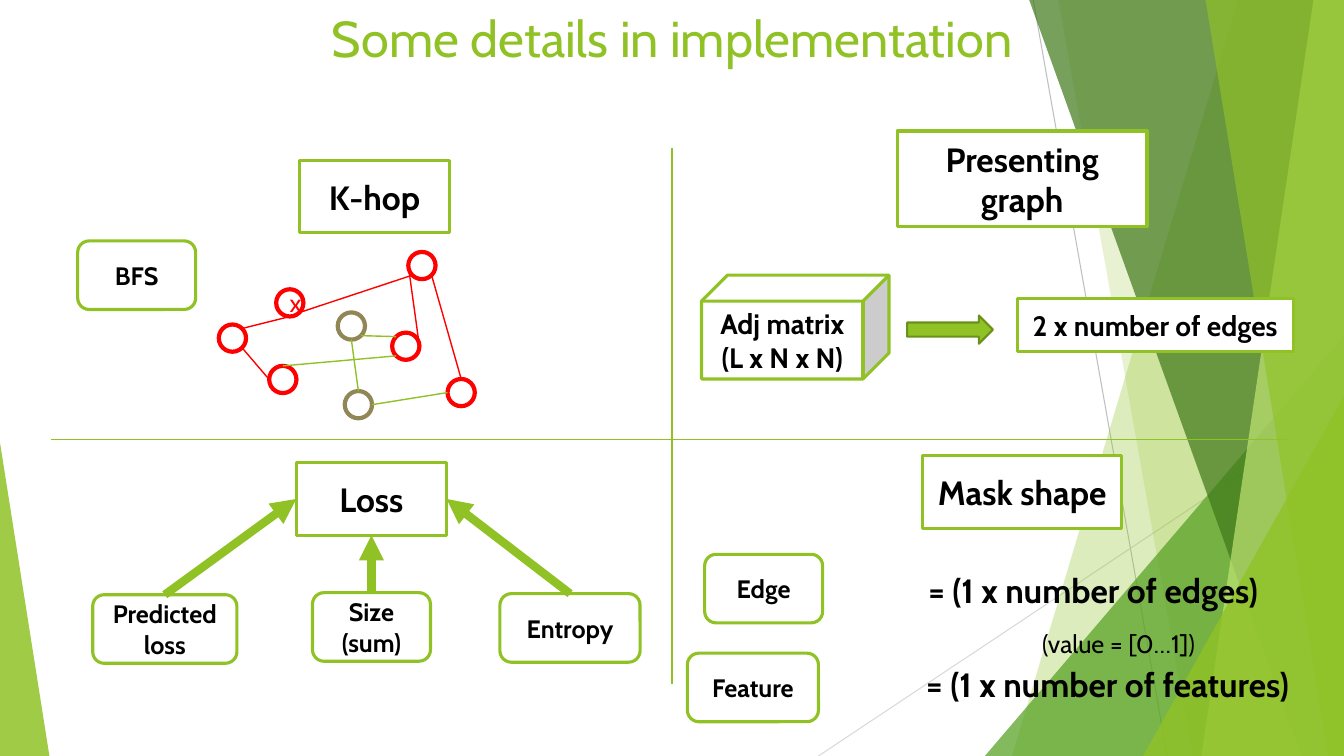
from math import cos, radians, sin

from lxml.etree import SubElement
from pptx import Presentation
from pptx.dml.color import RGBColor
from pptx.enum.shapes import MSO_CONNECTOR as Link, MSO_SHAPE as Kind
from pptx.enum.text import MSO_ANCHOR as Anchor, MSO_AUTO_SIZE as Fit, PP_ALIGN as Align
from pptx.oxml.ns import qn
from pptx.util import Inches, Pt

# All positions and sizes are percentages of the slide's width and height.
WIDTH, HEIGHT = Inches(13.333), Inches(7.5)
GREEN, RED, OLIVE, WHITE, BLACK = "90C226", "FF0000", "918655", "FFFFFF", "000000"
NODE_W, NODE_H = 2.03, 3.6
ANGLES = {"right": 0, "low right": 45, "bottom": 90, "low left": 135,
          "left": 180, "up left": 225, "top": 270, "up right": 315}


def colour(code):
    return RGBColor.from_string(code)


def across(share):
    return round(WIDTH * share / 100)


def down(share):
    return round(HEIGHT * share / 100)


def place(left, top, width, height):
    return across(left), down(top), across(width), down(height)


def write(frame, text, size, code=BLACK, bold=True, align=Align.CENTER):
    frame.text = text
    for para in frame.paragraphs:
        para.alignment = align
        para.font.name = "Cabin"
        para.font.size = Pt(size)
        para.font.bold = bold
        para.font.color.rgb = colour(code)


def paint(shape, fill=None, line=None, weight=2.25, opacity=100):
    shape.shadow.inherit = False
    if fill:
        shape.fill.solid()
        shape.fill.fore_color.rgb = colour(fill)
        if opacity < 100:
            tint = shape.fill._xPr.find(qn("a:solidFill"))[0]
            SubElement(tint, qn("a:alpha"), val=str(opacity * 1000))
    else:
        shape.fill.background()
    if line:
        shape.line.color.rgb = colour(line)
        shape.line.width = Pt(weight)
    else:
        shape.line.fill.background()


def add_pane(page, top_x, bottom_x, code, opacity):
    """Pane that reaches from a slanted edge to the right side of the slide."""
    builder = page.shapes.build_freeform(across(top_x), 0)
    builder.add_line_segments([(WIDTH, 0), (WIDTH, HEIGHT), (across(bottom_x), HEIGHT)])
    paint(builder.convert_to_shape(), code, opacity=opacity)


def add_wedge(page, left, top, width, apex, code, opacity):
    """Right triangle that stands on the bottom of the slide."""
    wedge = page.shapes.add_shape(Kind.ISOSCELES_TRIANGLE, *place(left, top, width, 100 - top))
    wedge.adjustments[0] = apex
    paint(wedge, code, opacity=opacity)


def add_box(page, text, spot, size, kind=Kind.RECTANGLE):
    box = page.shapes.add_shape(kind, *place(*spot))
    paint(box, WHITE, GREEN)
    box.text_frame.word_wrap = True
    box.text_frame.vertical_anchor = Anchor.MIDDLE
    write(box.text_frame, text, size)
    return box


def add_label(page, text, spot, size, bold):
    label = page.shapes.add_textbox(*place(*spot))
    label.text_frame.word_wrap = False
    label.text_frame.auto_size = Fit.SHAPE_TO_FIT_TEXT
    write(label.text_frame, text, size, bold=bold, align=Align.LEFT)


def add_line(page, start, end, code=GREEN, weight=1, arrow=False):
    line = page.shapes.add_connector(
        Link.STRAIGHT, across(start[0]), down(start[1]), across(end[0]), down(end[1]))
    line.line.color.rgb = colour(code)
    line.line.width = Pt(weight)
    properties = line._element.spPr
    if arrow:
        SubElement(properties.find(qn("a:ln")), qn("a:tailEnd"), type="triangle")
    SubElement(properties, qn("a:effectLst"))
    return line


def add_arrow(page, source, target, side):
    arrow = add_line(page, (0, 0), (1, 1), weight=6, arrow=True)
    arrow.begin_connect(source, 0)
    arrow.end_connect(target, side)


def add_node(page, left, top, code):
    node = page.shapes.add_shape(Kind.OVAL, *place(left, top, NODE_W, NODE_H))
    paint(node, line=code, weight=3)
    return node


def rim(spot, side):
    angle = radians(ANGLES[side])
    return (spot[0] + NODE_W / 2 * (1 + cos(angle)),
            spot[1] + NODE_H / 2 * (1 + sin(angle)))


def draw_backdrop(page):
    add_line(page, (76.88, 0), (86.85, 100), "BFBFBF", 0.75)
    add_line(page, (100, 53.73), (60.9, 100), "D9D9D9", 0.75)
    add_pane(page, 92.1, 75.3, GREEN, 30)
    add_pane(page, 78.75, 88.73, GREEN, 20)
    add_wedge(page, 73.28, 44.4, 26.72, 1, "54A021", 72)
    add_pane(page, 76.58, 96.83, "3F7819", 70)
    add_pane(page, 97.73, 89.4, "C0E474", 70)
    add_pane(page, 89.7, 98.85, GREEN, 65)
    add_wedge(page, 85.05, 52.4, 14.95, 1, GREEN, 80)
    add_wedge(page, 0, 58.53, 3.68, 0, GREEN, 85)


def draw_k_hop(page):
    add_box(page, "K-hop", (22.28, 21.2, 11.18, 9.6), 24)
    add_box(page, "BFS", (5.78, 31.87, 8.78, 9.07), 18, Kind.ROUNDED_RECTANGLE)
    spots = {"start": (20.55, 38.27), "inner": (25.13, 41.33), "far": (33.3, 50.13),
             "middle": (29.18, 44), "west": (16.28, 42.93), "south": (25.65, 51.73),
             "north": (30.38, 33.33), "low": (20.03, 48.4)}
    nodes = {name: add_node(page, *spot, OLIVE if name in ("inner", "south") else RED)
             for name, spot in spots.items()}
    frame = nodes["start"].text_frame
    frame.word_wrap = True
    frame.vertical_anchor = Anchor.MIDDLE
    write(frame, "x", 18, RED, bold=False)
    edges = [("inner", "bottom", "south", "top", GREEN),
             ("start", "low right", "north", "low left", RED),
             ("north", "low right", "far", "top", RED),
             ("west", "up right", "start", "bottom", RED),
             ("west", "low right", "low", "left", RED),
             ("south", "right", "far", "left", GREEN),
             ("middle", "right", "north", "left", RED),
             ("middle", "up left", "inner", "low right", GREEN),
             ("middle", "low left", "low", "top", GREEN)]
    for source, leave, target, arrive, code in edges:
        add_line(page, rim(spots[source], leave), rim(spots[target], arrive), code)


def draw_presenting_graph(page):
    add_box(page, "Presenting graph", (66.75, 17.33, 18.6, 12.67), 24)
    arrow = page.shapes.add_shape(Kind.RIGHT_ARROW, *place(67.5, 41.73, 6.38, 3.73))
    paint(arrow, GREEN, "6B901C", 1.5)
    add_box(page, "Adj matrix\n(L x N x N)", (52.2, 36.4, 13.95, 13.73), 20, Kind.CUBE)
    add_box(page, "2 x number of edges", (75.68, 39.47, 20.55, 7.07), 20)


def draw_loss(page):
    loss = add_box(page, "Loss", (22.05, 61.2, 11.18, 9.6), 24)
    terms = [("Predicted loss", 6.9, 78.67, 10.73, 1),
             ("Size (sum)", 23.25, 78.4, 8.78, 2),
             ("Entropy", 37.2, 78.53, 10.43, 3)]
    for text, left, top, width, side in terms:
        term = add_box(page, text, (left, top, width, 9.07), 18, Kind.ROUNDED_RECTANGLE)
        add_arrow(page, term, loss, side)


def draw_mask_shape(page):
    add_box(page, "Mask shape", (68.63, 60.27, 14.85, 9.6), 24)
    add_box(page, "Edge", (52.43, 73.33, 8.78, 9.07), 18, Kind.ROUNDED_RECTANGLE)
    add_box(page, "Feature", (51.15, 86.4, 9.75, 9.07), 18, Kind.ROUNDED_RECTANGLE)
    add_label(page, "= (1 x number of edges)", (68.33, 74.67, 26.18, 6.67), 24, True)
    add_label(page, "= (1 x number of features)", (68.18, 87.2, 28.73, 6.67), 24, True)
    add_label(page, "(value = [0…1])", (76.8, 82.4, 12.98, 5.33), 18, False)


def main():
    deck = Presentation()
    deck.slide_width, deck.slide_height = WIDTH, HEIGHT
    page = deck.slides.add_slide(deck.slide_layouts[6])
    draw_backdrop(page)

    # Title
    title = page.shapes.add_textbox(*place(6.9, 0.27, 86.25, 19.33))
    title.text_frame.word_wrap = True
    write(title.text_frame, "Some details in implementation", 36, GREEN, bold=False)

    # Dividers between the four quarters
    add_line(page, (50, 19.6), (50, 90.53))
    add_line(page, (3.83, 58.13), (95.78, 58.13))

    draw_k_hop(page)
    draw_presenting_graph(page)
    draw_loss(page)
    draw_mask_shape(page)
    deck.save("out.pptx")


if __name__ == "__main__":
    main()
